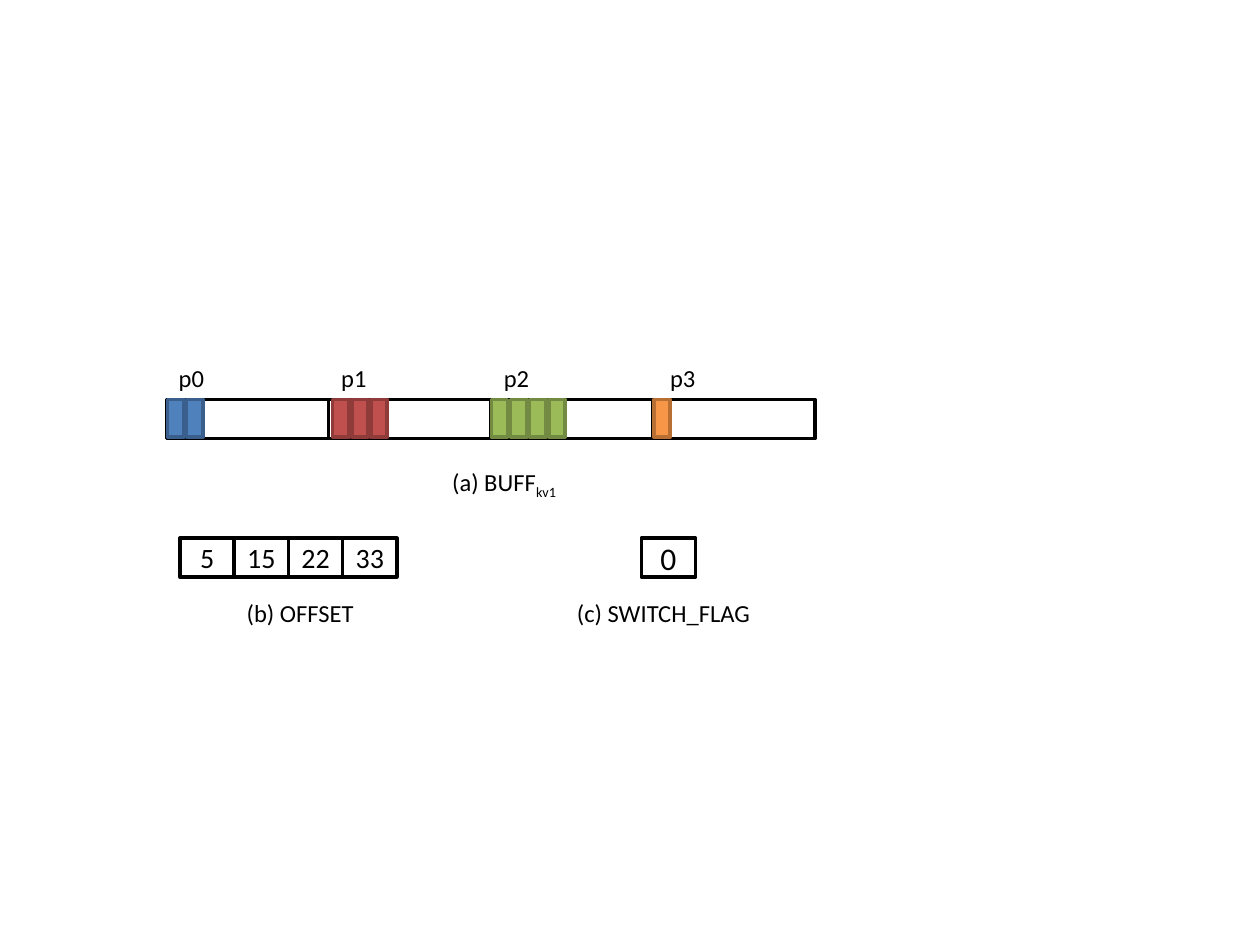
"""Build a slide showing a partitioned buffer, its offsets and its switch flag."""
import pptx
import pptx.dml.color
import pptx.enum.shapes
import pptx.enum.text
import pptx.util

Inches = pptx.util.Inches
Pt = pptx.util.Pt
color = pptx.dml.color.RGBColor.from_string

presentation = pptx.Presentation()
presentation.slide_width = Inches(10)
presentation.slide_height = Inches(7.5)
slide = presentation.slides.add_slide(presentation.slide_layouts[6])


def add_box(left, top, width, height, fill="FFFFFF", line="000000", text="", size=16):
    shape = slide.shapes.add_shape(
        pptx.enum.shapes.MSO_SHAPE.RECTANGLE,
        Inches(left), Inches(top), Inches(width), Inches(height))
    shape.shadow.inherit = False
    shape.fill.solid()
    shape.fill.fore_color.rgb = color(fill)
    shape.line.color.rgb = color(line)
    shape.line.width = Pt(2)
    if text:
        frame = shape.text_frame
        frame.text = text
        frame.margin_left = frame.margin_right = 0
        frame.vertical_anchor = pptx.enum.text.MSO_ANCHOR.MIDDLE
        paragraph = frame.paragraphs[0]
        paragraph.alignment = pptx.enum.text.PP_ALIGN.CENTER
        font = paragraph.runs[0].font
        font.name, font.size = "Calibri", Pt(size)
        font.color.rgb = color("000000")


def add_label(left, top, width, text, subscript=""):
    box = slide.shapes.add_textbox(Inches(left), Inches(top), Inches(width), Inches(0.34))
    frame = box.text_frame
    frame.word_wrap = False
    frame.auto_size = pptx.enum.text.MSO_AUTO_SIZE.SHAPE_TO_FIT_TEXT
    paragraph = frame.paragraphs[0]
    paragraph.text = text
    if subscript:
        run = paragraph.add_run()
        run.text = subscript
        run.font._element.set("baseline", "-25000")
    for run in paragraph.runs:
        run.font.name, run.font.size = "Calibri", Pt(14)
        run.font.color.rgb = color("000000")


buffer_left, buffer_top, partition_width = 1.32, 3.17, 1.287
row_height = 0.31
cell_left, cell_top, cell_width = 1.43, 4.27, 0.43
record_width, record_step = 0.13, 0.152

partitions = [
    ("p0", 1.32, 1.33, 2, "4F81BD", "3A5F8C"),
    ("p1", 2.61, 2.64, 3, "C0504D", "8E3B39"),
    ("p2", 3.90, 3.90, 4, "9BBB59", "738A42"),
    ("p3", 5.22, 5.19, 1, "F79646", "B76F34"),
]
for index in range(len(partitions)):
    add_box(buffer_left + index * partition_width, buffer_top, partition_width, row_height)
for name, label_left, record_left, count, fill, line in partitions:
    add_label(label_left, 2.83, 0.4, name)
    for index in range(count):
        add_box(record_left + index * record_step, buffer_top, record_width, 0.3, fill, line)

for index, offset in enumerate(["5", "15", "22", "33"]):
    add_box(cell_left + index * cell_width, cell_top, cell_width, row_height, text=offset)
add_box(5.09, cell_top, cell_width, row_height, text="0", size=18)

add_label(3.49, 3.66, 1.06, "(a) BUFF", "kv1")
add_label(1.86, 4.7, 1.06, "(b) OFFSET")
add_label(4.48, 4.7, 1.59, "(c) SWITCH_FLAG")

presentation.save("out.pptx")
